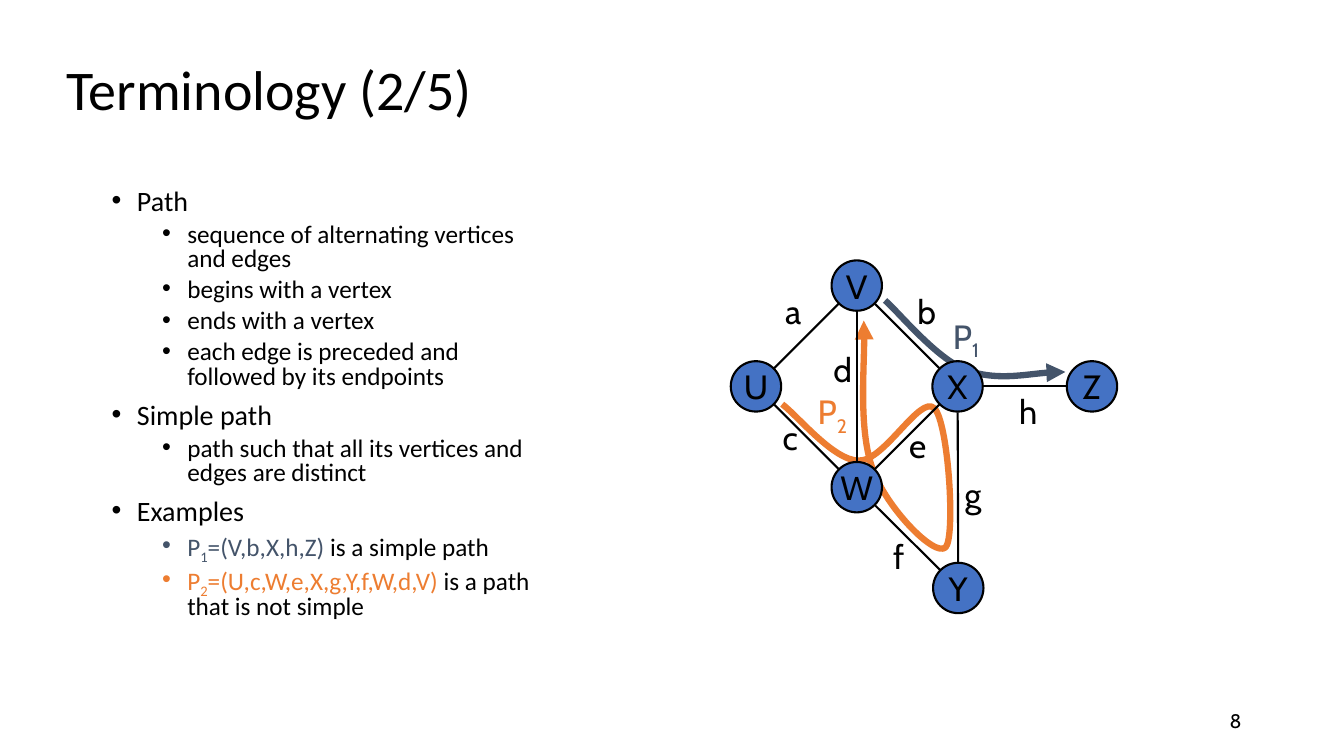
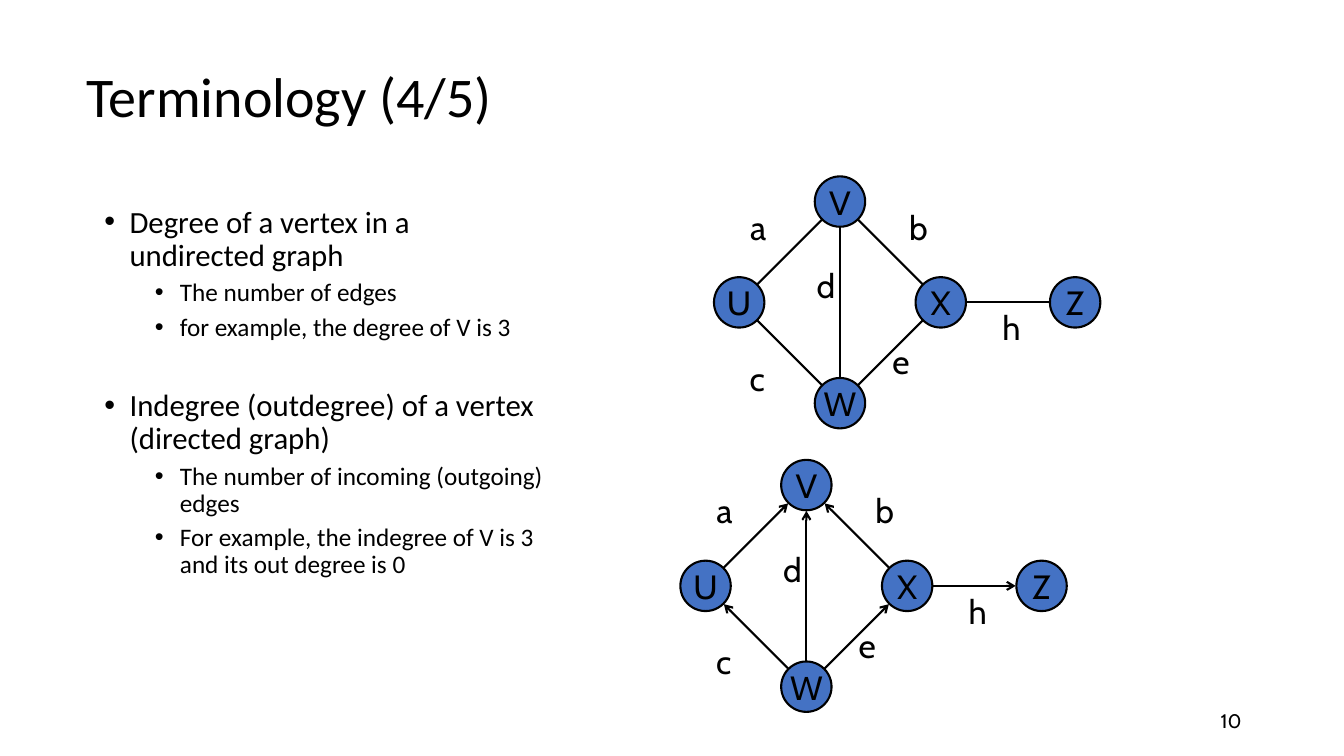
"""Build two slides on graph terminology: paths, and the degree of a vertex."""
from dataclasses import dataclass
from math import hypot
from typing import NamedTuple

from lxml import etree
from pptx import Presentation
from pptx.dml.color import RGBColor
from pptx.enum.shapes import MSO_CONNECTOR, MSO_SHAPE
from pptx.enum.text import MSO_ANCHOR, PP_ALIGN
from pptx.oxml.ns import qn
from pptx.util import Pt

BLACK = RGBColor(0x00, 0x00, 0x00)
BLUE = RGBColor(0x44, 0x72, 0xC4)
SLATE = RGBColor(0x44, 0x54, 0x6A)
ORANGE = RGBColor(0xED, 0x7D, 0x31)
ELLIPSE = MSO_SHAPE.OVAL
STRAIGHT = MSO_CONNECTOR.STRAIGHT
TOP, MIDDLE = MSO_ANCHOR.TOP, MSO_ANCHOR.MIDDLE
LEFT, CENTER, RIGHT = PP_ALIGN.LEFT, PP_ALIGN.CENTER, PP_ALIGN.RIGHT
TEXT_FONT, GRAPH_FONT = "Calibri", "Cabin"

VERTEX_SIZE = 36
EDGE_TRIM = 18.5
LABEL_WIDTH, LABEL_HEIGHT = 44, 36
DIAMOND = {"U": (-72, 72), "V": (0, 0), "X": (72, 72), "W": (0, 144), "Z": (168, 72)}
DIAMOND_EDGES = ("UV", "WU", "WX", "XZ", "XV", "WV")


class Box(NamedTuple):
    left: float
    top: float
    width: float
    height: float


class TextRun(NamedTuple):
    text: str
    color: RGBColor = BLACK
    subscript: bool = False


class Label(NamedTuple):
    x: float
    y: float
    runs: tuple[TextRun, ...]


class Bullet(NamedTuple):
    level: int
    runs: tuple[TextRun, ...]
    space_before: float


class Curve(NamedTuple):
    color: RGBColor
    points: tuple[tuple[float, float], ...]


@dataclass(frozen=True)
class Graph:
    x: float
    y: float
    vertices: dict[str, tuple[float, float]]
    edges: tuple[str, ...]
    labels: tuple[Label, ...]
    directed: bool = False


@dataclass(frozen=True)
class Page:
    title: str
    title_box: Box
    body_box: Box
    bullets: tuple[Bullet, ...]
    heading_size: float
    line_spacing: float
    number: str
    graphs: tuple[Graph, ...]
    curves: tuple[Curve, ...] = ()


def heading(text: str, space_before: float = 10) -> Bullet:
    return Bullet(0, (TextRun(text),), space_before)


def point(*runs: TextRun | str) -> Bullet:
    return Bullet(1, tuple(TextRun(run) if isinstance(run, str) else run for run in runs), 5)


def letter(x: float, y: float, text: str) -> Label:
    return Label(x, y, (TextRun(text),))


def path_name(index: str, color: RGBColor) -> tuple[TextRun, ...]:
    return TextRun("P", color), TextRun(index, color, True)


def set_font(paragraph, name: str, size: float) -> None:
    paragraph.font.name = name
    paragraph.font.size = Pt(size)
    paragraph.font.color.rgb = BLACK


def add_runs(paragraph, runs: tuple[TextRun, ...]) -> None:
    for text_run in runs:
        run = paragraph.add_run()
        run.text = text_run.text
        if text_run.color != BLACK:
            run.font.color.rgb = text_run.color
        if text_run.subscript:
            run._r.get_or_add_rPr().set("baseline", "-25000")


def add_text(slide, box: Box, runs: tuple[TextRun, ...], name: str, size: float,
             align=LEFT, anchor=MIDDLE, wrap: bool = True):
    frame = slide.shapes.add_textbox(*map(Pt, box)).text_frame
    frame.word_wrap = wrap
    frame.vertical_anchor = anchor
    paragraph = frame.paragraphs[0]
    paragraph.alignment = align
    set_font(paragraph, name, size)
    add_runs(paragraph, runs)
    return paragraph


def add_bullets(slide, page: Page) -> None:
    frame = slide.shapes.add_textbox(*map(Pt, page.body_box)).text_frame
    frame.word_wrap = True
    for index, bullet in enumerate(page.bullets):
        paragraph = frame.add_paragraph() if index else frame.paragraphs[0]
        paragraph.level = bullet.level
        paragraph.line_spacing = page.line_spacing
        paragraph.space_before = Pt(bullet.space_before)
        properties = paragraph._p.get_or_add_pPr()
        properties.set("marL", str(Pt(18 + 36 * bullet.level)))
        properties.set("indent", str(Pt(-18)))
        etree.SubElement(properties, qn("a:buFont"), typeface="Arial")
        etree.SubElement(properties, qn("a:buChar"), char="•")
        set_font(paragraph, TEXT_FONT, 18 if bullet.level else page.heading_size)
        add_runs(paragraph, bullet.runs)


def add_arrowhead(shape, kind: str) -> None:
    etree.SubElement(shape.line._get_or_add_ln(), qn("a:tailEnd"), type=kind)


def add_curve(slide, curve: Curve) -> None:
    start, *controls = [(Pt(x), Pt(y)) for x, y in curve.points]
    builder = slide.shapes.build_freeform(*start)
    builder.add_line_segments(controls, close=False)
    shape = builder.convert_to_shape()
    shape.shadow.inherit = False
    shape.fill.background()
    shape.line.color.rgb = curve.color
    shape.line.width = Pt(4.5)
    add_arrowhead(shape, "triangle")
    segments = list(shape._element.spPr.iter(qn("a:lnTo")))
    for first, second, third in zip(segments[::3], segments[1::3], segments[2::3]):
        first.tag = qn("a:cubicBezTo")
        for segment in (second, third):
            first.append(segment[0])
            segment.getparent().remove(segment)


def add_vertex(slide, x: float, y: float, name: str) -> None:
    radius = VERTEX_SIZE / 2
    shape = slide.shapes.add_shape(
        ELLIPSE, Pt(x - radius), Pt(y - radius), Pt(VERTEX_SIZE), Pt(VERTEX_SIZE))
    shape.shadow.inherit = False
    shape.fill.solid()
    shape.fill.fore_color.rgb = BLUE
    shape.line.color.rgb = BLACK
    shape.line.width = Pt(1.5)
    frame = shape.text_frame
    frame.word_wrap = False
    frame.vertical_anchor = MIDDLE
    paragraph = frame.paragraphs[0]
    paragraph.alignment = CENTER
    set_font(paragraph, GRAPH_FONT, 24)
    run = paragraph.add_run()
    run.text = name
    run.font.color.rgb = BLACK


def add_edge(slide, start: tuple[float, float], end: tuple[float, float], directed: bool) -> None:
    run, rise = end[0] - start[0], end[1] - start[1]
    trim = EDGE_TRIM / hypot(run, rise)
    trim_x, trim_y = run * trim, rise * trim
    connector = slide.shapes.add_connector(
        STRAIGHT, Pt(start[0] + trim_x), Pt(start[1] + trim_y),
        Pt(end[0] - trim_x), Pt(end[1] - trim_y))
    connector.line.color.rgb = BLACK
    connector.line.width = Pt(1.5)
    if directed:
        add_arrowhead(connector, "arrow")
    etree.SubElement(connector._element.spPr, qn("a:effectLst"))


def add_graph(slide, graph: Graph) -> None:
    centers = {name: (graph.x + x, graph.y + y) for name, (x, y) in graph.vertices.items()}
    for name, (x, y) in centers.items():
        add_vertex(slide, x, y, name)
    for start, end in graph.edges:
        add_edge(slide, centers[start], centers[end], graph.directed)
    for label in graph.labels:
        box = Box(graph.x + label.x - LABEL_WIDTH / 2, graph.y + label.y, LABEL_WIDTH, LABEL_HEIGHT)
        add_text(slide, box, label.runs, GRAPH_FONT, 24, CENTER, TOP, False)


def add_page(presentation, page: Page) -> None:
    slide = presentation.slides.add_slide(presentation.slide_layouts[6])
    title = add_text(slide, page.title_box, (TextRun(page.title),), TEXT_FONT, 40)
    title.line_spacing = 0.9
    add_bullets(slide, page)
    for curve in page.curves:
        add_curve(slide, curve)
    for graph in page.graphs:
        add_graph(slide, graph)
    add_text(slide, Box(678, 500.5, 216, 28.75), (TextRun(page.number),), GRAPH_FONT, 14, RIGHT)


SHARED_LABELS = (letter(43.5, 96, "e"), letter(-10, 42, "d"), letter(122.5, 72, "h"))
DEGREE_LABELS = SHARED_LABELS + (
    letter(-58.5, 0, "a"), letter(-59, 108, "c"), letter(56, 0, "b"))
PATH_LABELS = SHARED_LABELS + (
    letter(-45.5, 0.5, "a"), letter(-47.5, 90.5, "c"), letter(50, 0, "b"),
    letter(30, 175, "f"), letter(83, 131, "g"),
    Label(78, 18, path_name("1", SLATE)), Label(-17.5, 72, path_name("2", ORANGE)))

PATHS = Page(
    "Terminology (2/5)", Box(40.5, 21, 425.5, 90), Box(72.75, 132, 324, 336),
    (
        heading("Path"),
        point("sequence of alternating vertices and edges"),
        point("begins with a vertex"),
        point("ends with a vertex"),
        point("each edge is preceded and followed by its endpoints"),
        heading("Simple path"),
        point("path such that all its vertices and edges are distinct"),
        heading("Examples"),
        point(*path_name("1", SLATE), TextRun("=(V,b,X,h,Z)", SLATE), " is a simple path"),
        point(*path_name("2", ORANGE), TextRun("=(U,c,W,e,X,g,Y,f,W,d,V)", ORANGE),
              " is a path that is not simple"),
    ),
    20, 0.8, "8",
    (Graph(612, 204, DIAMOND | {"Y": (72.5, 216)}, DIAMOND_EDGES + ("WY", "XY"), PATH_LABELS),),
    (
        Curve(ORANGE, (
            (558.7, 288.7), (570.2, 297.4), (595.4, 329), (613.4, 329),
            (631.4, 329.8), (657.4, 281.5), (667.4, 291.6),
            (677.5, 301.7), (682.6, 383.8), (675.4, 391),
            (667.4, 398.2), (632.9, 362.2), (623.5, 335.5),
            (613.4, 308.2), (618.5, 246.2), (617, 229))),
        Curve(SLATE, (
            (632.2, 214.6), (641.5, 222.5), (668.2, 255.6), (689.8, 264.2),
            (711.4, 272.2), (746.6, 265), (761, 265.7))),
    ),
)
DEGREES = Page(
    "Terminology (4/5)", Box(54.75, 26, 389.5, 90), Box(67.5, 144, 330, 348),
    (
        heading("Degree of a vertex in a undirected graph"),
        point("The number of edges"),
        point("for example, the degree of V is 3"),
        heading("Indegree (outdegree) of a vertex (directed graph)", 34.5),
        point("The number of incoming (outgoing) edges"),
        point("For example, the indegree of V is 3 and its out degree is 0"),
    ),
    22, 0.9, "10",
    (Graph(600, 144, DIAMOND, DIAMOND_EDGES, DEGREE_LABELS),
     Graph(576, 346.5, DIAMOND, DIAMOND_EDGES, DEGREE_LABELS, True)),
)


def main() -> None:
    presentation = Presentation()
    presentation.slide_width, presentation.slide_height = Pt(960), Pt(540)
    for page in (PATHS, DEGREES):
        add_page(presentation, page)
    presentation.save("out.pptx")


if __name__ == "__main__":
    main()
